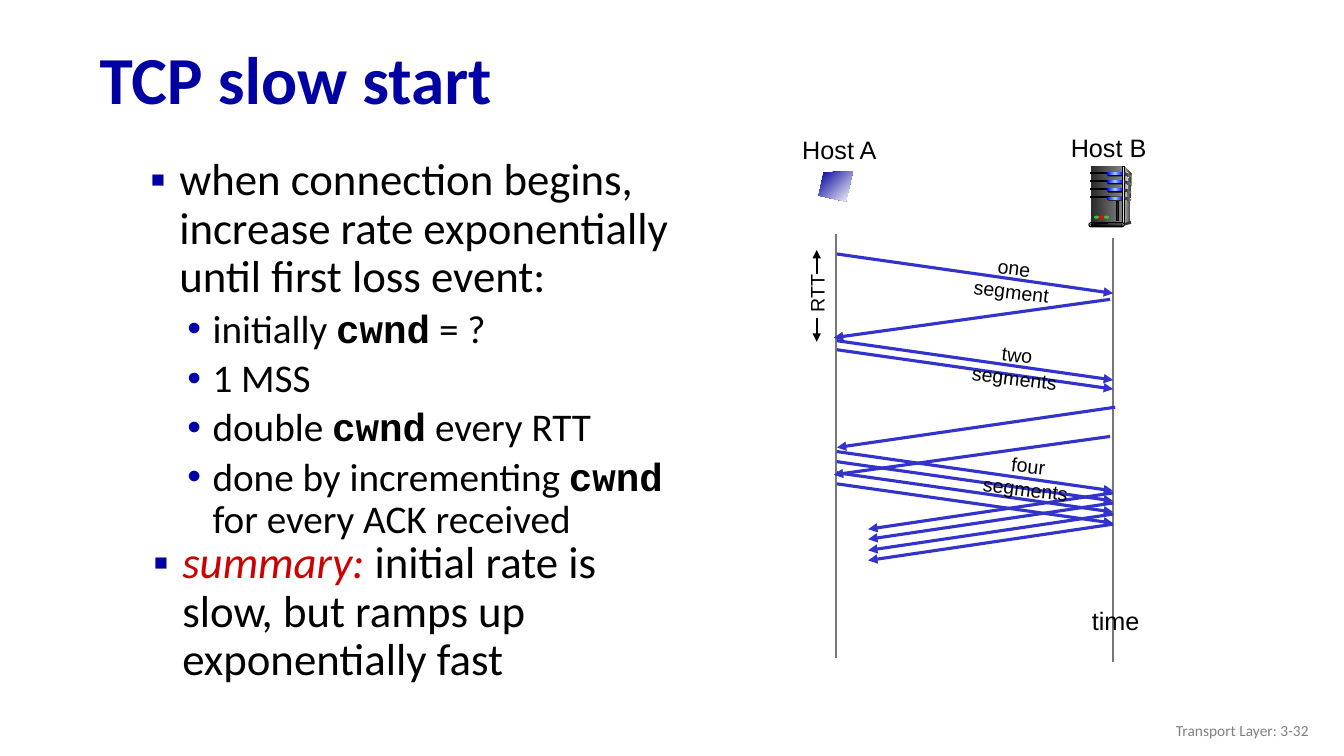
from dataclasses import dataclass
from typing import NamedTuple, Optional, Sequence

from lxml.etree import SubElement
from pptx import Presentation
from pptx.dml.color import RGBColor
from pptx.enum.shapes import MSO_CONNECTOR, MSO_SHAPE
from pptx.enum.text import MSO_ANCHOR, PP_ALIGN
from pptx.oxml.ns import qn
from pptx.util import Inches, Pt


@dataclass(frozen=True)
class Theme:
    sans: str = "Calibri"
    label: str = "Arial"
    code: str = "Courier New"
    heading: str = "0000A3"
    sub_bullet: str = "0000A8"
    ink: str = "000000"
    accent: str = "CC0000"
    segment: str = "3333CC"
    timeline: str = "777777"
    footer: str = "808080"
    dark: str = "333333"
    pale: str = "DDDDDD"
    steel: tuple = ("292929", "808080")
    lamp: tuple = ("0000FF", "99CCFF", "0000FF")
    title_pt: int = 48
    body_pt: int = 32
    sub_pt: int = 28
    host_pt: int = 18
    note_pt: int = 14
    footer_pt: int = 11


THEME = Theme()


class Run(NamedTuple):
    text: str
    code: bool = False
    italic: bool = False
    color: str = THEME.ink


class Bullet(NamedTuple):
    runs: Sequence[Run]
    sub: bool = False


class Part(NamedTuple):
    kind: MSO_SHAPE
    left: float
    top: float
    width: float
    height: float
    fill: object  # one colour, or a tuple of gradient colours
    outlined: bool = False


class Arrow(NamedTuple):
    x1: float
    y1: float
    x2: float
    y2: float
    color: str = THEME.segment
    width: float = 2.25


deck = Presentation()
deck.slide_width, deck.slide_height = Inches(13.33), Inches(7.5)
slide = deck.slides.add_slide(deck.slide_layouts[6])


def add_frame(left: float, top: float, width: float, height: float, rotation: float = 0):
    box = slide.shapes.add_textbox(Inches(left), Inches(top), Inches(width), Inches(height))
    box.rotation = rotation
    return box.text_frame


def add_text(text: str, left: float, top: float, width: float, height: float, *,
             size: float, font: str = THEME.label, color: str = THEME.ink, bold: bool = False,
             align=PP_ALIGN.CENTER, anchor=MSO_ANCHOR.TOP, wrap: bool = False,
             rotation: float = 0, side_margin: float = 0.1) -> None:
    frame = add_frame(left, top, width, height, rotation)
    frame.word_wrap = wrap
    frame.vertical_anchor = anchor
    frame.margin_left = frame.margin_right = Inches(side_margin)
    frame.paragraphs[0].alignment = align
    run = frame.paragraphs[0].add_run()
    run.text = text
    run.font.name, run.font.size, run.font.bold = font, Pt(size), bold
    run.font.color.rgb = RGBColor.from_string(color)


def add_bullets(bullets: Sequence[Bullet], left: float, top: float,
                width: float, height: float) -> None:
    frame = add_frame(left, top, width, height)
    frame.word_wrap = True
    for index, bullet in enumerate(bullets):
        paragraph = frame.add_paragraph() if index else frame.paragraphs[0]
        props = paragraph._p.get_or_add_pPr()
        indent, hanging = (0.76, 0.25) if bullet.sub else (0.43, 0.29)
        props.set("marL", str(Inches(indent)))
        props.set("indent", str(-Inches(hanging)))
        mark_color = SubElement(props, qn("a:buClr"))
        SubElement(mark_color, qn("a:srgbClr"),
                   val=THEME.sub_bullet if bullet.sub else THEME.heading)
        SubElement(props, qn("a:buFont"), typeface=THEME.label)
        SubElement(props, qn("a:buChar"), char="•" if bullet.sub else "▪")
        paragraph.level = int(bullet.sub)
        paragraph.line_spacing = 0.9
        paragraph.space_before = Pt(5 if index else 0)
        for part in bullet.runs:
            run = paragraph.add_run()
            run.text = part.text
            run.font.name = THEME.code if part.code else THEME.sans
            run.font.size = Pt(THEME.sub_pt if bullet.sub else THEME.body_pt)
            run.font.bold, run.font.italic = part.code, part.italic
            run.font.color.rgb = RGBColor.from_string(part.color)


def add_line(line: Arrow, arrowhead: bool = True) -> None:
    connector = slide.shapes.add_connector(
        MSO_CONNECTOR.STRAIGHT, Inches(line.x1), Inches(line.y1), Inches(line.x2), Inches(line.y2))
    connector.line.color.rgb = RGBColor.from_string(line.color)
    connector.line.width = Pt(line.width)
    props = connector._element.spPr
    if arrowhead:
        SubElement(props.find(qn("a:ln")), qn("a:tailEnd"), type="triangle")
    SubElement(props, qn("a:effectLst"))


def paint(shape, fill, outlined: bool = False, angle: int = 0) -> None:
    shape.shadow.inherit = False
    if isinstance(fill, str):
        shape.fill.solid()
        shape.fill.fore_color.rgb = RGBColor.from_string(fill)
    else:
        shape.fill.background()
        blank = shape._element.spPr.find(qn("a:noFill"))
        gradient = SubElement(shape._element.spPr, qn("a:gradFill"))
        stops = SubElement(gradient, qn("a:gsLst"))
        for index, color in enumerate(fill):
            stop = SubElement(stops, qn("a:gs"), pos=str(100000 * index // (len(fill) - 1)))
            SubElement(stop, qn("a:srgbClr"), val=color)
        SubElement(gradient, qn("a:lin"), ang=str(angle * 60000), scaled="0")
        blank.getparent().replace(blank, gradient)
    if outlined:
        shape.line.color.rgb = RGBColor.from_string(THEME.ink)
        shape.line.width = Pt(0.75)
    else:
        shape.line.fill.background()


def add_part(part: Part) -> None:
    shape = slide.shapes.add_shape(part.kind, Inches(part.left), Inches(part.top),
                                   Inches(part.width), Inches(part.height))
    if part.kind == MSO_SHAPE.ROUNDED_RECTANGLE:
        shape.adjustments[0] = 0.5
    paint(shape, part.fill, part.outlined)


def add_outline(points: Sequence[tuple], fill, angle: int = 0) -> None:
    start, *rest = [(Inches(x), Inches(y)) for x, y in points]
    builder = slide.shapes.build_freeform(*start)
    builder.add_line_segments(rest, close=True)
    paint(builder.convert_to_shape(), fill, angle=angle)


def add_server() -> None:
    rect, pill, oval = MSO_SHAPE.RECTANGLE, MSO_SHAPE.ROUNDED_RECTANGLE, MSO_SHAPE.OVAL
    # Cabinet: side panel, front, side trim
    add_outline([(11.15, 1.65), (11.22, 1.72), (11.21, 2.2), (11.13, 2.22)],
                (THEME.pale, THEME.dark))
    add_part(Part(rect, 10.82, 1.65, 0.31, 0.57, THEME.steel))
    add_outline([(11.15, 1.68), (11.2, 1.73), (11.17, 1.95), (11.15, 2.2)], ("808080", "F8F8F8"))
    # Four drive bays
    bay_tops = [1.71 + 0.08 * bay for bay in range(4)]
    for top in bay_tops:
        add_part(Part(rect, 10.82, top, 0.18, 0.01, THEME.ink, True))
        add_part(Part(pill, 10.98, top, 0.17, 0.04, THEME.ink))
        add_part(Part(pill, 10.98, top, 0.16, 0.03, THEME.lamp))
    add_part(Part(rect, 11.13, 1.65, 0.02, 0.57, (THEME.dark, THEME.pale, THEME.dark), True))
    for top in bay_tops:
        add_outline([(11.15, top), (11.22, top + 0.03), (11.21, top + 0.05), (11.15, top + 0.02)],
                    THEME.steel)
    # Base, status lights and slot
    add_outline([(11.14, 2.22), (11.14, 2.24), (11.22, 2.22), (11.21, 2.19)], THEME.dark)
    for part in (Part(oval, 11.21, 2.19, 0.01, 0.02, THEME.dark),
                 Part(pill, 10.8, 2.21, 0.35, 0.04, THEME.pale, True),
                 Part(pill, 10.82, 2.22, 0.31, 0.02, (THEME.ink, "808080"), True),
                 Part(rect, 11.07, 2, 0.02, 0.19, THEME.steel[0], True)):
        add_part(part)
    for index, color in enumerate(("33CC33", "FF0000", "33CC33")):
        add_part(Part(oval, 10.85 + 0.05 * index, 2.14, 0.05, 0.03, color))


def add_note(text: str, center_x: float, top: float) -> None:
    width = 0.96
    add_text(text, center_x - width / 2, top, width, 0.33, size=THEME.note_pt,
             wrap=True, rotation=6.8, side_margin=0)


def main(saved_rtt_x: Optional[float] = 8.1) -> None:
    # Title and bullets
    add_text("TCP slow start", 0.89, 0.28, 12.4, 0.98, size=THEME.title_pt, font=THEME.sans,
             color=THEME.heading, bold=True, align=PP_ALIGN.LEFT, anchor=MSO_ANCHOR.MIDDLE, wrap=True)
    cwnd = Run("cwnd", code=True)
    add_bullets([
        Bullet([Run("when connection begins, increase rate exponentially until first loss event:")]),
        Bullet([Run("initially "), cwnd, Run(" = ?")], sub=True),
        Bullet([Run("1 MSS")], sub=True),
        Bullet([Run("double "), cwnd, Run(" every RTT")], sub=True),
        Bullet([Run("done by incrementing "), cwnd, Run(" for every ACK received")], sub=True),
    ], 1.25, 1.51, 5.6, 5.7)
    add_bullets([Bullet([Run("summary: ", italic=True, color=THEME.accent),
                         Run("initial rate is slow, but ramps up exponentially fast")])],
                1.28, 5.31, 5.6, 2.08)
    # Hosts and their timelines
    add_text("Host A", 7.85, 1.28, 0.95, 0.4, size=THEME.host_pt)
    add_text("Host B", 10.52, 1.26, 0.95, 0.4, size=THEME.host_pt)
    for x, top in ((8.29, 2.32), (11.04, 2.36)):
        add_line(Arrow(x, top, x, top + 4.21, THEME.timeline, 1.5), arrowhead=False)
    add_outline([(8.46, 1.7), (8.17, 1.71), (8.12, 1.94), (8.39, 2)], ("000099", "FFFFFF"), angle=45)
    add_server()
    # Round-trip time
    add_text("RTT", 7.81, 2.75, 0.58, 0.33, size=THEME.note_pt, rotation=270)
    for start, end in ((2.72, 2.48), (3.15, 3.39)):
        add_line(Arrow(saved_rtt_x, start, saved_rtt_x, end, THEME.ink, 1.5))
    # Segments from A to B, then acknowledgements from B to A
    for y in (2.52, 3.38, 3.47, 4.48, 4.58, 4.69, 4.8):
        add_line(Arrow(8.3, y, 11.04, y + 0.39))
    for y in (4.89, 4.99, 5.1, 5.2):
        add_line(Arrow(11.04, y, 8.61, y + 0.36))
    for acknowledgement in (Arrow(11.01, 2.97, 8.27, 3.35), Arrow(11.06, 4.04, 8.3, 4.44),
                            Arrow(11.01, 4.33, 8.27, 4.71)):
        add_line(acknowledgement)
    # Labels
    add_note("one segment", 10.06, 2.49)
    add_note("two segments", 10.09, 3.35)
    add_note("four segments", 10.2, 4.45)
    add_text("time", 10.73, 5.96, 0.67, 0.4, size=THEME.host_pt)
    add_text("Transport Layer: 3-32", 10.08, 7.05, 3, 0.4, size=THEME.footer_pt, font=THEME.sans,
             color=THEME.footer, align=PP_ALIGN.RIGHT, anchor=MSO_ANCHOR.MIDDLE, wrap=True)
    deck.save("out.pptx")


if __name__ == "__main__":
    main()
